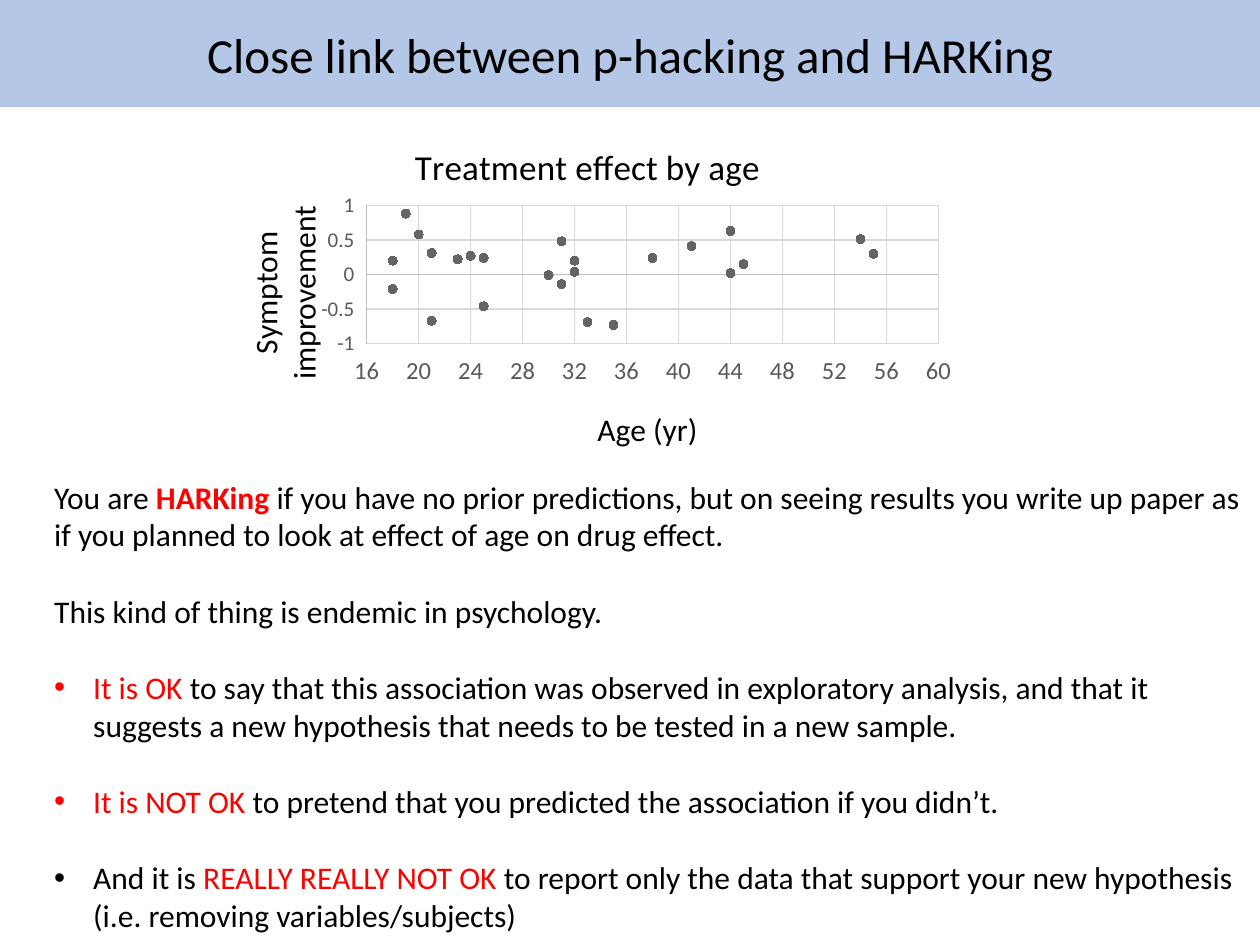
import pptx
import pptx.chart.data
import pptx.dml.color
import pptx.enum.chart
import pptx.enum.text
import pptx.oxml
import pptx.oxml.ns
import pptx.util

COLORS = {
    "band": "B4C7E7",
    "text": "000000",
    "alert": "FF0000",
    "tick": "595959",
    "axis": "BFBFBF",
    "grid": "D9D9D9",
    "marker": "646464",
}
POINTS = [
    (18, -0.21), (18, 0.2), (19, 0.88), (20, 0.58), (21, -0.67), (21, 0.31),
    (23, 0.22), (24, 0.27), (25, 0.24), (25, -0.46), (30, -0.01), (45, 0.15),
    (31, -0.14), (31, 0.48), (32, 0.2), (38, 0.24), (32, 0.04), (33, -0.69),
    (35, -0.73), (41, 0.41), (44, 0.02), (44, 0.63), (54, 0.51), (55, 0.3),
]
PARAGRAPHS = [
    (False, [
        ("You are ", "text", False),
        ("HARKing ", "alert", True),
        ("if you have no prior predictions, but on seeing results you write up paper as "
         "if you planned to look at effect of age on drug effect.", "text", False),
    ]),
    (False, [("This kind of thing is endemic in psychology.", "text", False)]),
    (True, [
        ("It is OK ", "alert", False),
        ("to say that this association was observed in exploratory analysis, and that it "
         "suggests a new hypothesis that needs to be tested in a new sample.", "text", False),
    ]),
    (True, [
        ("It is NOT OK ", "alert", False),
        ("to pretend that you predicted the association if you didn’t.", "text", False),
    ]),
    (True, [
        ("And it is ", "text", False),
        ("REALLY REALLY NOT OK ", "alert", False),
        ("to report only the data that support your new hypothesis "
         "(i.e. removing variables/subjects)", "text", False),
    ]),
]


def set_values(target, values):
    for name, value in values.items():
        setattr(target, name, value)


def rgb(color):
    return pptx.dml.color.RGBColor.from_string(COLORS[color])


class SlideBuilder:
    font_name = "Calibri"
    columns = 100
    rows = 75

    def __init__(self, presentation):
        self.width = presentation.slide_width
        self.height = presentation.slide_height
        self.slide = presentation.slides.add_slide(presentation.slide_layouts[1])

    def box(self, column, row, column_span, row_span):
        column_width, row_height = self.width / self.columns, self.height / self.rows
        return {
            "left": round(column * column_width),
            "top": round(row * row_height),
            "width": round(column_span * column_width),
            "height": round(row_span * row_height),
        }

    def style(self, font, size, color="text", bold=False):
        set_values(font, {"name": self.font_name, "size": pptx.util.Pt(size), "bold": bold})
        font.color.rgb = rgb(color)

    def line(self, line_format, color):
        line_format.color.rgb = rgb(color)
        line_format.width = pptx.util.Pt(0.75)

    def title(self, text, *cells):
        shape = self.slide.shapes.title
        set_values(shape, self.box(*cells))
        shape.fill.solid()
        shape.fill.fore_color.rgb = rgb("band")
        set_values(shape.text_frame, {
            "text": text,
            "auto_size": pptx.enum.text.MSO_AUTO_SIZE.NONE,
            "vertical_anchor": pptx.enum.text.MSO_ANCHOR.MIDDLE,
        })
        paragraph = shape.text_frame.paragraphs[0]
        paragraph.alignment = pptx.enum.text.PP_ALIGN.CENTER
        self.style(paragraph.runs[0].font, 28)

    def bullet(self, paragraph, shown):
        properties = paragraph._p.get_or_add_pPr()
        indent = pptx.util.Inches(0.31) if shown else 0
        properties.set("marL", str(indent))
        properties.set("indent", str(-indent))
        mark = '<a:buChar %s char="•"/>' if shown else "<a:buNone %s/>"
        properties.append(pptx.oxml.parse_xml(mark % pptx.oxml.ns.nsdecls("a")))

    def body(self, paragraphs, *cells):
        shape = self.slide.placeholders[1]
        set_values(shape, self.box(*cells))
        frame = shape.text_frame
        set_values(frame, {
            "word_wrap": True,
            "auto_size": pptx.enum.text.MSO_AUTO_SIZE.NONE,
            "vertical_anchor": pptx.enum.text.MSO_ANCHOR.TOP,
        })
        for index, (bulleted, runs) in enumerate(paragraphs):
            paragraph = frame.add_paragraph() if index else frame.paragraphs[0]
            paragraph.space_before = pptx.util.Pt(22 if index else 0)
            self.bullet(paragraph, bulleted)
            for text, color, bold in runs:
                run = paragraph.add_run()
                run.text = text
                self.style(run.font, 18, color, bold)

    def layout(self, parent, values, target=""):
        layout = parent.find(pptx.oxml.ns.qn("c:layout"))
        entries = "".join(f'<c:{name} val="{value}"/>' for name, value in values.items())
        manual = (f'<c:manualLayout {pptx.oxml.ns.nsdecls("c")}>{target}'
                  f'<c:xMode val="edge"/><c:yMode val="edge"/>{entries}</c:manualLayout>')
        if layout is None:
            layout = pptx.oxml.parse_xml(f'<c:layout {pptx.oxml.ns.nsdecls("c")}/>')
            parent.insert(0, layout)
        layout.append(pptx.oxml.parse_xml(manual))

    def chart_title(self, title, text, size, x, y, rotation=0):
        title.text_frame.text = text
        for paragraph in title.text_frame.paragraphs:
            self.style(paragraph.font, size)
            self.style(paragraph.runs[0].font, size)
        title.text_frame._txBody.bodyPr.set("rot", str(rotation * 60000))
        self.layout(title._element, {"x": x, "y": y})

    def axis(self, axis, size, low, high, step):
        set_values(axis, {
            "minimum_scale": low,
            "maximum_scale": high,
            "major_unit": step,
            "has_major_gridlines": True,
            "major_tick_mark": pptx.enum.chart.XL_TICK_MARK.NONE,
            "minor_tick_mark": pptx.enum.chart.XL_TICK_MARK.NONE,
            "tick_label_position": pptx.enum.chart.XL_TICK_LABEL_POSITION.LOW,
        })
        self.style(axis.tick_labels.font, size, "tick")
        self.line(axis.format.line, "axis")
        self.line(axis.major_gridlines.format.line, "grid")

    def scatter(self, points, *cells):
        data = pptx.chart.data.XyChartData()
        series_data = data.add_series("Series 1")
        for age, improvement in points:
            series_data.add_data_point(age, improvement)
        frame = self.slide.shapes.add_chart(
            pptx.enum.chart.XL_CHART_TYPE.XY_SCATTER, *self.box(*cells).values(), data)
        chart = frame.chart
        self.style(chart.font, 10)
        set_values(chart, {"has_legend": False, "has_title": True})
        chart.plots[0].vary_by_categories = False
        self.axis(chart.category_axis, 14, 16, 60, 4)
        self.axis(chart.value_axis, 12, -1, 1, 0.5)
        self.chart_title(chart.chart_title, "Treatment effect by age", 20, 0.27, 0.08)
        self.chart_title(chart.category_axis.axis_title, "Age (yr)", 18, 0.51, 0.81)
        self.chart_title(chart.value_axis.axis_title, "Symptom\nimprovement", 18, 0.05, 0.26, -90)
        plot_area = chart._chartSpace.chart.plotArea
        self.layout(plot_area, {"x": 0.215, "y": 0.27, "w": 0.75, "h": 0.38},
                    '<c:layoutTarget val="inner"/>')
        series = chart.plots[0].series[0]
        series.format.line.fill.background()
        set_values(series.marker, {"style": pptx.enum.chart.XL_MARKER_STYLE.CIRCLE, "size": 5})
        series.marker.format.fill.solid()
        series.marker.format.fill.fore_color.rgb = rgb("marker")
        self.line(series.marker.format.line, "marker")


def main():
    presentation = pptx.Presentation()
    presentation.slide_width = pptx.util.Inches(10)
    presentation.slide_height = pptx.util.Inches(7.5)
    builder = SlideBuilder(presentation)
    builder.title("Close link between p-hacking and HARKing", 0, 0, 100, 8.5)
    builder.body(PARAGRAPHS, 3.3, 37.4, 96.7, 37.4)
    builder.scatter(POINTS, 16.1, 8.5, 60.5, 28.9)
    presentation.save("out.pptx")


if __name__ == "__main__":
    main()
